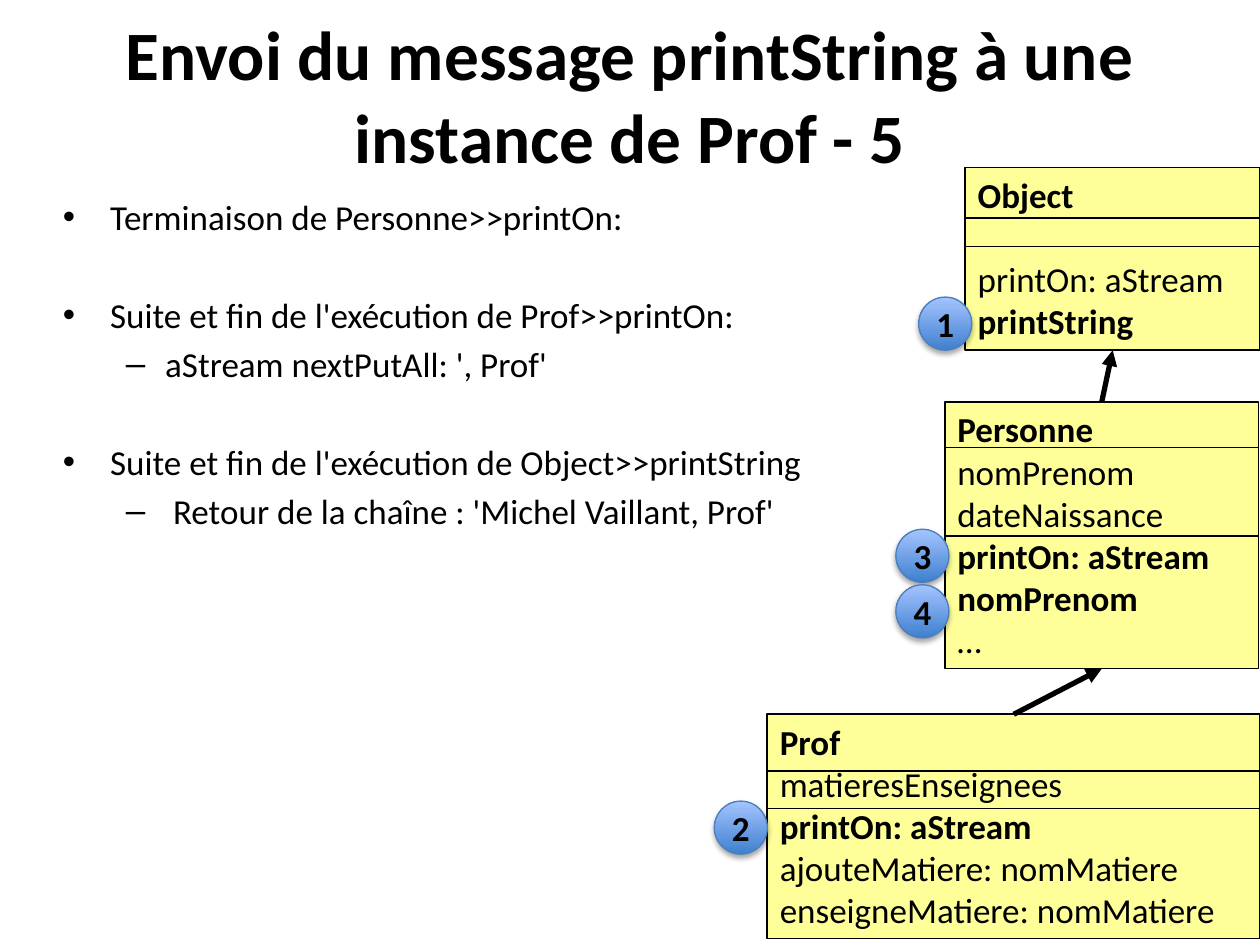
"""Build the slide that traces printString through the Object, Personne and Prof classes."""
import dataclasses

import lxml.etree
import pptx
import pptx.dml.color
import pptx.enum.dml
import pptx.enum.shapes
import pptx.enum.text
import pptx.oxml.ns
import pptx.util

Cm = pptx.util.Cm
Pt = pptx.util.Pt
qn = pptx.oxml.ns.qn


@dataclasses.dataclass(frozen=True)
class Theme:
    font: str = "Calibri"
    title_size: float = 39.6
    text_size: float = 20
    ink: str = "000000"
    class_fill: str = "FFFF99"
    badge_dark: str = "3F80CE"
    badge_light: str = "A4C4FF"
    badge_line: str = "4B7EBC"


theme = Theme()
color = pptx.dml.color.RGBColor.from_string


def write(para, text, size=theme.text_size, bold=False):
    para.text = text
    for span in para.runs:
        span.font.name = theme.font
        span.font.size = Pt(size)
        span.font.bold = bold
        span.font.color.rgb = color(theme.ink)


def add_outlined(page, kind, bounds, line_color, line_width):
    shape = page.shapes.add_shape(kind, *map(Cm, bounds))
    shape.shadow.inherit = False
    shape.line.color.rgb = color(line_color)
    shape.line.width = Pt(line_width)
    return shape


deck = pptx.Presentation()
deck.slide_width, deck.slide_height = Cm(25.4), Cm(19.05)
page = deck.slides.add_slide(deck.slide_layouts[6])
shape_kind = pptx.enum.shapes.MSO_SHAPE
align = pptx.enum.text.PP_ALIGN
anchor = pptx.enum.text.MSO_ANCHOR

title = page.shapes.add_textbox(0, 0, deck.slide_width, Cm(3.81))
title.text_frame.word_wrap = True
title.text_frame.vertical_anchor = anchor.MIDDLE
title_para = title.text_frame.paragraphs[0]
write(title_para, "Envoi du message printString à une instance de Prof - 5", theme.title_size, True)
title_para.alignment = align.CENTER

body = page.shapes.add_textbox(Cm(1.02), Cm(3.81), Cm(24.38), Cm(15.24))
body.text_frame.word_wrap = True
bullets = {0: ("•", 0.95, 0.95), 1: ("–", 2.06, 0.79)}
steps = [
    (0, 4, "Terminaison de Personne>>printOn:"),
    (0, 32, "Suite et fin de l'exécution de Prof>>printOn:"),
    (1, 4, "aStream nextPutAll: ', Prof'"),
    (0, 32, "Suite et fin de l'exécution de Object>>printString"),
    (1, 4, " Retour de la chaîne : 'Michel Vaillant, Prof'"),
]
body.text_frame.text = "\n".join(text for _, _, text in steps)
for para, (level, space, text) in zip(body.text_frame.paragraphs, steps):
    write(para, text)
    para.level = level
    para.space_before = Pt(space)
    mark, margin, hanging = bullets[level]
    properties = para._p.get_or_add_pPr()
    properties.set("marL", str(Cm(margin)))
    properties.set("indent", str(-Cm(hanging)))
    lxml.etree.SubElement(properties, qn("a:buFont")).set("typeface", "Arial")
    lxml.etree.SubElement(properties, qn("a:buChar")).set("char", mark)

classes = [
    ((19.46, 3.38, 5.94, 3.68), (4.39, 0.58),
     [("Object", True, 0), ("printOn: aStream", False, 24), ("printString", True, 0)]),
    ((19.05, 8.1, 6.32, 5.38), (9.02, 1.78),
     [("Personne", True, 0), ("nomPrenom", False, 0), ("dateNaissance", False, 0),
      ("printOn: aStream", True, 0), ("nomPrenom", True, 0), ("…", False, 0)]),
    ((15.47, 14.4, 9.93, 4.52), (15.54, 0.76),
     [("Prof", True, 0), ("matieresEnseignees", False, 0), ("printOn: aStream", True, 0),
      ("ajouteMatiere: nomMatiere", False, 0), ("enseigneMatiere: nomMatiere", False, 0)]),
]
class_boxes = []
for bounds, (fields_top, fields_height), members in classes:
    box = add_outlined(page, shape_kind.RECTANGLE, bounds, theme.ink, 1)
    box.fill.solid()
    box.fill.fore_color.rgb = color(theme.class_fill)
    frame = box.text_frame
    frame.word_wrap = False
    frame.vertical_anchor = anchor.TOP
    frame.text = "\n".join(text for text, _, _ in members)
    for para, (text, bold, space) in zip(frame.paragraphs, members):
        write(para, text, bold=bold)
        para.alignment = align.LEFT
        para.space_before = Pt(space)
    class_boxes.append(box)
    left, _, width, _ = bounds
    fields = add_outlined(page, shape_kind.RECTANGLE, (left, fields_top, width, fields_height), theme.ink, 1)
    fields.fill.background()

for parent, child in zip(class_boxes, class_boxes[1:]):
    arrow = page.shapes.add_connector(pptx.enum.shapes.MSO_CONNECTOR.STRAIGHT, 0, 0, 0, 0)
    arrow.begin_connect(child, 0)
    arrow.end_connect(parent, 2)
    arrow.line.color.rgb = color(theme.ink)
    arrow.line.width = Pt(3)
    lxml.etree.SubElement(arrow.line._get_or_add_ln(), qn("a:tailEnd")).set("type", "triangle")
    lxml.etree.SubElement(arrow._element.spPr, qn("a:effectLst"))

badges = [("1", 18.52, 5.99), ("2", 14.4, 16.15), ("3", 18.06, 10.67), ("4", 18.06, 11.79)]
for number, left, top in badges:
    badge = add_outlined(page, shape_kind.OVAL, (left, top, 1.07, 1.07), theme.badge_line, 0.75)
    badge.fill.gradient()
    badge.fill.gradient_angle = 90
    for stop, position, shade in zip(badge.fill.gradient_stops, (0, 1), (theme.badge_dark, theme.badge_light)):
        stop.position = position
        stop.color.rgb = color(shade)
    effects = badge._element.spPr.find(qn("a:effectLst"))
    shadow = lxml.etree.SubElement(effects, qn("a:outerShdw"), blurRad=str(Pt(3.1)),
                                   dist=str(Pt(1.8)), dir="5400000", rotWithShape="0")
    shadow_color = lxml.etree.SubElement(shadow, qn("a:srgbClr"), val=theme.ink)
    lxml.etree.SubElement(shadow_color, qn("a:alpha"), val="35000")
    frame = badge.text_frame
    frame.margin_left = frame.margin_right = frame.margin_top = frame.margin_bottom = 0
    frame.word_wrap = False
    frame.vertical_anchor = anchor.MIDDLE
    write(frame.paragraphs[0], number, bold=True)
    frame.paragraphs[0].alignment = align.CENTER

deck.save("out.pptx")
